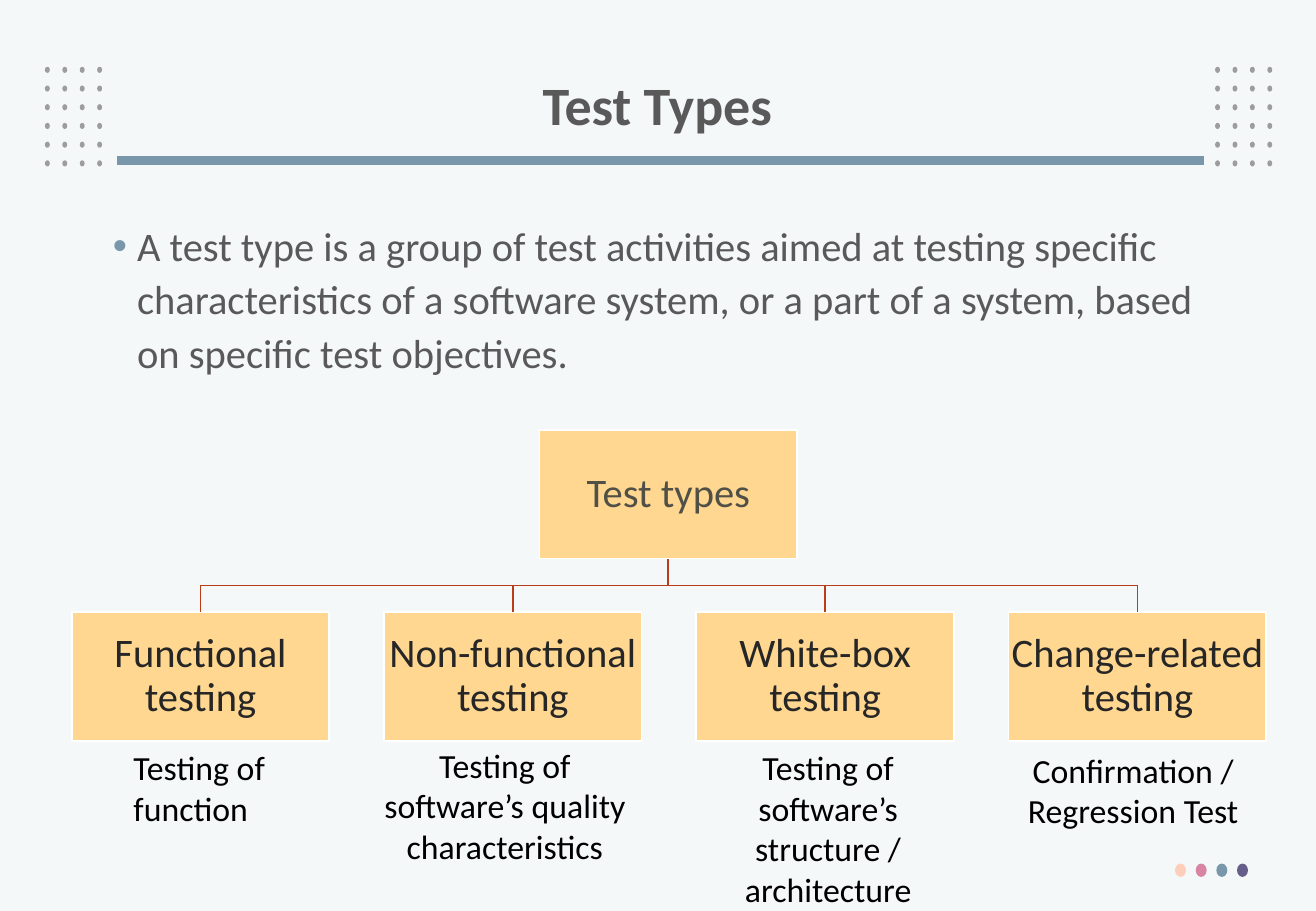
from itertools import product

from lxml.etree import SubElement
from pptx import Presentation
from pptx.dml.color import RGBColor
from pptx.enum.shapes import MSO_CONNECTOR, MSO_SHAPE
from pptx.enum.text import MSO_ANCHOR, MSO_AUTO_SIZE, PP_ALIGN
from pptx.oxml.ns import qn
from pptx.util import Inches, Pt

PAPER = RGBColor(0xF5, 0xF8, 0xF9)
DOT = RGBColor(0x9D, 0x9D, 0x9D)
BLUE = RGBColor(0x78, 0x97, 0xAB)
PEACH = RGBColor(0xFD, 0xCE, 0xB9)
PINK = RGBColor(0xD8, 0x85, 0xA3)
PURPLE = RGBColor(0x65, 0x5D, 0x8A)
GREY = RGBColor(0x59, 0x59, 0x59)
OLIVE = RGBColor(0x50, 0x50, 0x46)
DARK = RGBColor(0x26, 0x26, 0x26)
BLACK = RGBColor(0, 0, 0)
WHITE = RGBColor(0xFF, 0xFF, 0xFF)
AMBER = RGBColor(0xFF, 0xD7, 0x91)
RED = RGBColor(0xBA, 0x3D, 0x1B)

BOX_W, BOX_H = 2.12, 1.06
ROOT_X, ROOT_Y = 4.44, 3.54
KID_X, KID_Y, KID_STEP = 0.59, 5.04, 2.57
BUS_Y = 4.82

# Box text, then its note: text, left, top, width, alignment
TYPES = [
    ("Functional testing", "Testing of function", 1, 6.1, 1.58, PP_ALIGN.LEFT),
    ("Non-functional testing", "Testing of software’s quality characteristics",
     3.03, 6.08, 2.25, PP_ALIGN.CENTER),
    ("White-box testing", "Testing of software’s structure / architecture",
     5.69, 6.1, 2.25, PP_ALIGN.CENTER),
    ("Change-related testing", "Confirmation / Regression Test",
     8.2, 6.12, 2.25, PP_ALIGN.CENTER),
]


class Deck:
    font = "Calibri"

    def __init__(self, wide, high):
        self.prs = Presentation()
        self.prs.slide_width = Inches(wide)
        self.prs.slide_height = Inches(high)
        self.slide = self.prs.slides.add_slide(self.prs.slide_layouts[5])
        self.slide.background.fill.solid()
        self.slide.background.fill.fore_color.rgb = PAPER

    def style(self, frame, text, size, color, align, space=1.0, bold=False):
        """Put one styled paragraph in a frame and return it."""
        frame.word_wrap = True
        frame.text = text
        par = frame.paragraphs[0]
        par.alignment = align
        par.line_spacing = space
        for run in par.runs:
            run.font.name = self.font
            run.font.size = Pt(size)
            run.font.bold = bold
            run.font.color.rgb = color
        return par

    def title(self, text, x, y, w, h):
        shape = self.slide.shapes.title
        shape.left, shape.top = Inches(x), Inches(y)
        shape.width, shape.height = Inches(w), Inches(h)
        frame = shape.text_frame
        frame.auto_size = MSO_AUTO_SIZE.NONE
        frame.vertical_anchor = MSO_ANCHOR.MIDDLE
        self.style(frame, text, 32, GREY, PP_ALIGN.CENTER, 0.9, True)

    def text(self, text, x, y, w, h, size, color, align, space=1.0):
        box = self.slide.shapes.add_textbox(
            Inches(x), Inches(y), Inches(w), Inches(h))
        return self.style(box.text_frame, text, size, color, align, space)

    def bullet(self, text, x, y, w, h):
        par = self.text(text, x, y, w, h, 24, GREY, PP_ALIGN.LEFT, 1.1)
        par.space_before = Pt(8.1)
        props = par._p.get_or_add_pPr()
        props.set("marL", str(Inches(0.2)))
        props.set("indent", str(-Inches(0.2)))
        tint = SubElement(props, qn("a:buClr"))
        SubElement(tint, qn("a:srgbClr")).set("val", str(BLUE))
        SubElement(props, qn("a:buFont")).set("typeface", "Arial")
        SubElement(props, qn("a:buChar")).set("char", "•")

    def shape(self, kind, x, y, w, h, fill):
        shape = self.slide.shapes.add_shape(
            kind, Inches(x), Inches(y), Inches(w), Inches(h))
        shape.shadow.inherit = False
        shape.fill.solid()
        shape.fill.fore_color.rgb = fill
        shape.line.fill.background()
        return shape

    def dot(self, x, y, w, h, fill):
        self.shape(MSO_SHAPE.OVAL, x, y, w, h, fill)

    def box(self, text, x, y, color):
        box = self.shape(MSO_SHAPE.RECTANGLE, x, y, BOX_W, BOX_H, AMBER)
        box.line.color.rgb = WHITE
        box.line.width = Pt(1)
        frame = box.text_frame
        frame.margin_left = frame.margin_right = Inches(0.02)
        frame.margin_top = frame.margin_bottom = Inches(0.02)
        frame.vertical_anchor = MSO_ANCHOR.MIDDLE
        self.style(frame, text, 24, color, PP_ALIGN.CENTER, 0.9)
        return box

    def line(self, x1, y1, x2, y2, color, width):
        line = self.slide.shapes.add_connector(
            MSO_CONNECTOR.STRAIGHT, Inches(x1), Inches(y1),
            Inches(x2), Inches(y2))
        line.line.color.rgb = color
        line.line.width = Pt(width)
        SubElement(line._element.spPr, qn("a:effectLst"))
        return line

    def save(self):
        self.prs.save("out.pptx")


def trim(deck):
    """Draw the dot grids, the title rule and the corner dots."""
    for left, row, col in product((0.37, 10), range(6), range(4)):
        deck.dot(left + col * 0.43 / 3, 0.55 + row * 0.77 / 5,
                 0.04, 0.05, DOT)
    deck.line(0.96, 1.32, 9.91, 1.32, BLUE, 5.25)
    for i, color in enumerate((PEACH, PINK, BLUE, PURPLE)):
        deck.dot(9.67 + i * 0.17, 7.11, 0.09, 0.11, color)


def tree(deck):
    """Draw the root, its four types and the lines between them."""
    half = BOX_W / 2
    root = deck.box("Test types", ROOT_X, ROOT_Y, OLIVE)
    mid = ROOT_X + half
    trunk = deck.line(mid, ROOT_Y + BOX_H, mid, BUS_Y, RED, 1)
    trunk.begin_connect(root, 2)
    first = KID_X + half
    last = first + (len(TYPES) - 1) * KID_STEP
    deck.line(first, BUS_Y, last, BUS_Y, RED, 1)
    for i, (name, note, x, y, w, align) in enumerate(TYPES):
        left = KID_X + i * KID_STEP
        kid = deck.box(name, left, KID_Y, DARK)
        drop = deck.line(left + half, BUS_Y, left + half, KID_Y, RED, 1)
        drop.end_connect(kid, 0)
        deck.text(note, x, y, w, 0.77, 20, BLACK, align)


def main():
    deck = Deck(10.83, 7.5)
    trim(deck)
    deck.title("Test Types", 0.74, 0.4, 9.34, 0.98)
    deck.bullet(
        "A test type is a group of test activities aimed at testing specific "
        "characteristics of a software system, or a part of a system, based "
        "on specific test objectives.", 0.83, 1.73, 9.26, 1.5)
    tree(deck)
    deck.save()


if __name__ == "__main__":
    main()
